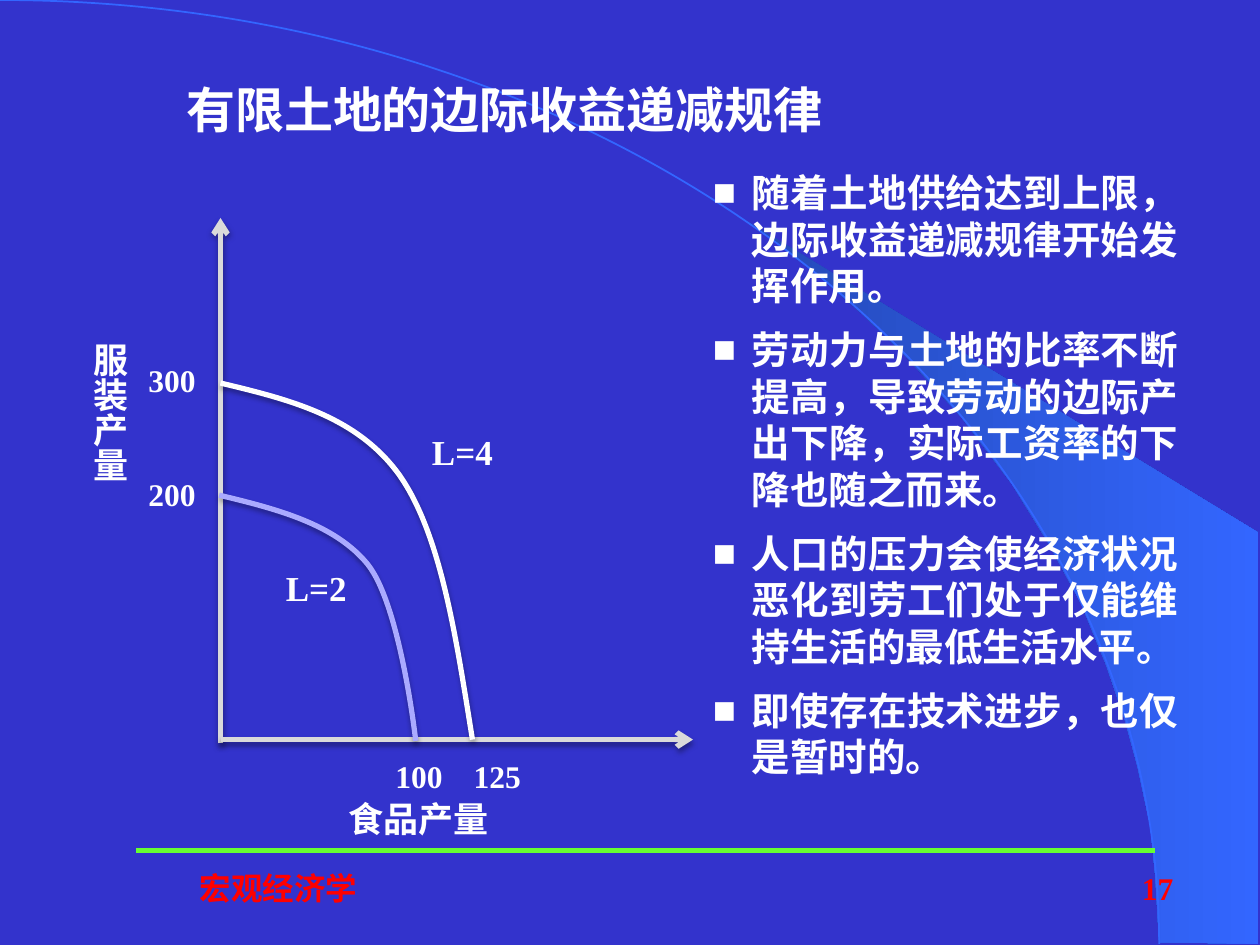
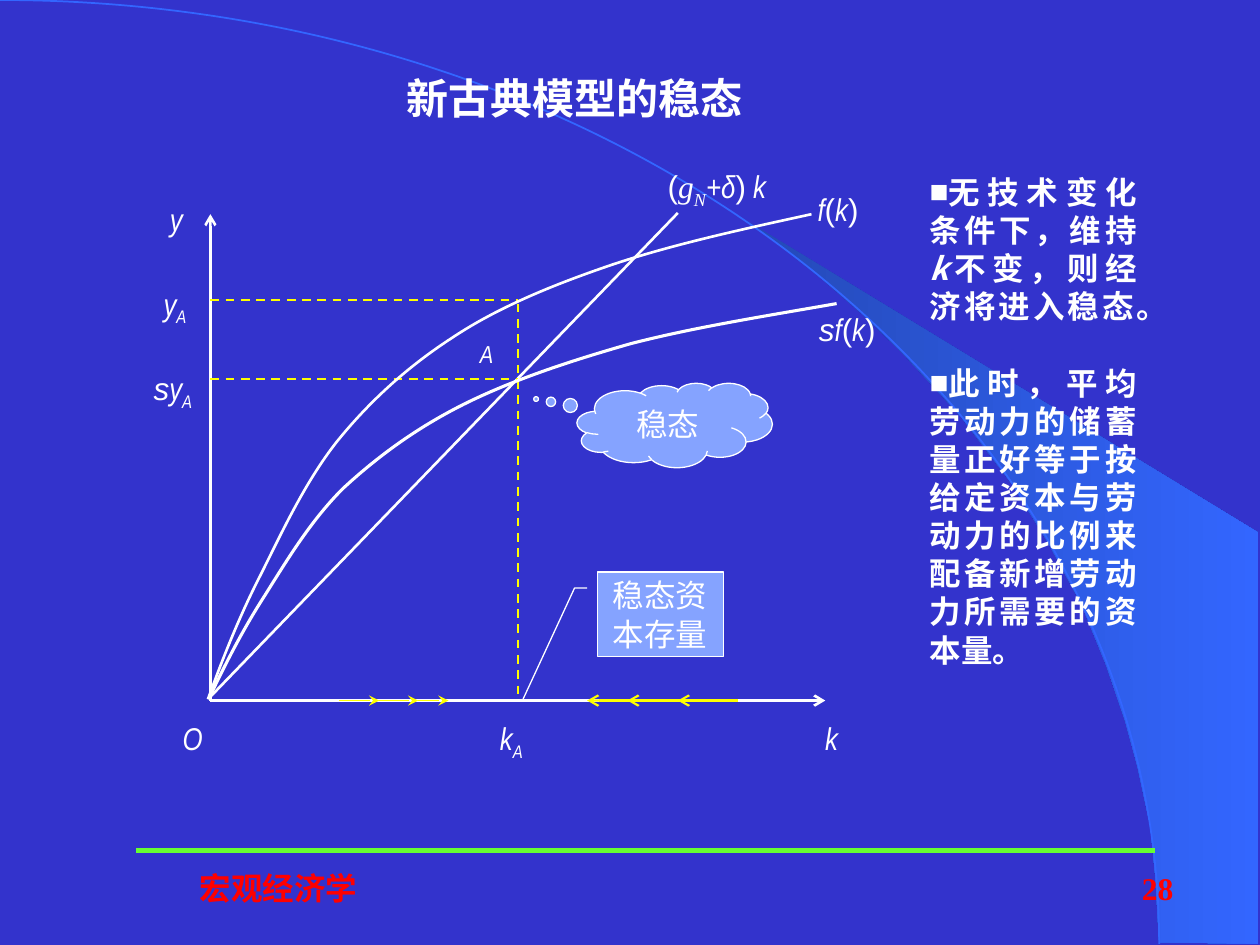
from lxml import etree
from pptx import Presentation, util as u
from pptx.dml.color import RGBColor
from pptx.enum import dml, shapes, text
from pptx.oxml.ns import qn

COLORS = {"ground": "3333CC", "arc": "3366FF", "deep": "2449B6", "rule": "66FF33",
          "footer": "FF0000", "white": "FFFFFF", "axis": "DADADA", "inner": "AAAAFF",
          "guide": "FFFF00", "callout": "85A3FF"}
HAN, TIMES, ARIAL, NARROW = "Noto Sans CJK SC", "Times New Roman", "Arial", "Arial Narrow"
HAN_PITCH = 1.21  # line pitch of Chinese text, as a share of its size
GRID = 2.54       # one layout unit in centimetres

# Shared frame
COURSE = "宏观经济学"
BEAM = [(9.2, 7.48), (9.99, 7.49), (9.99, 4.23), (5.89, 1.73), (6.24, 1.99), (6.53, 2.22),
        (6.85, 2.5), (7.16, 2.8), (7.62, 3.3), (8.03, 3.84), (8.32, 4.31), (8.58, 4.79),
        (8.78, 5.28), (8.93, 5.72), (9.03, 6.09), (9.13, 6.56), (9.17, 6.96)]
ARC = [(0, 0), (5.08, 0), (9.2, 3.35), (9.2, 7.49)]

# Run styles
STYLES = {
    "han": {"name": HAN, "bold": True},
    "han_italic": {"name": HAN, "bold": True, "italic": True},
    "plain": {"name": TIMES},
    "bold": {"name": TIMES, "bold": True},
    "var": {"name": NARROW, "italic": True},
    "sub": {"name": NARROW, "italic": True},
    "arial": {"name": ARIAL},
    "slant": {"name": ARIAL, "italic": True},
    "times": {"name": TIMES, "italic": True},
    "times_sub": {"name": TIMES, "italic": True},
}

# Slide 17: diminishing returns; curves are a start point and cubic triples
LAND = {
    "page": "17",
    "title": ("有限土地的边际收益递减规律", (1.38, 0.58, 5.42, 0.57), 28),
    "axes": [((1.75, 5.9), (1.75, 1.73)), ((1.75, 5.87), (5.5, 5.87))],
    "frontiers": [
        ("inner", [(1.74, 3.93), (2.2, 4.04), (2.66, 4.16), (2.92, 4.48),
                   (3.18, 4.81), (3.3, 5.88), (3.3, 5.88)]),
        ("white", [(1.75, 3.04), (2.29, 3.17), (2.83, 3.3), (3.17, 3.77),
                   (3.5, 4.24), (3.62, 5.06), (3.75, 5.87)]),
    ],
    "ticks": [("300", 1.08, 2.82), ("200", 1.08, 3.72), ("100", 3.04, 5.96), ("125", 3.66, 5.96)],
    "labels": [("L=4", 3.33, 3.37), ("L=2", 2.17, 4.45)],
    "x_name": ("食品产量", (2.67, 6.28, 2.25, 0.44)),
    "y_name": ("服装产量", (0.55, 2.62, 0.54, 2.83)),
    "points": [
        "随着土地供给达到上限，边际收益递减规律开始发挥作用。",
        "劳动力与土地的比率不断提高，导致劳动的边际产出下降，实际工资率的下降也随之而来。",
        "人口的压力会使经济状况恶化到劳工们处于仅能维持生活的最低生活水平。",
        "即使存在技术进步，也仅是暂时的。",
    ],
}

# Slide 28: steady state
ORIGIN = (1.67, 5.56)
K_A, Y_A, SY_A = 4.11, 2.38, 3.01
STEADY = {
    "page": "28",
    "title": ("新古典模型的稳态", (3.13, 0.52, 2.91, 0.5), 24),
    "axes": [(ORIGIN, (6.55, ORIGIN[1])), (ORIGIN, (ORIGIN[0], 1.7))],
    "break_even": ((1.66, 5.54), (5.38, 1.69)),
    "guides": [((ORIGIN[0], SY_A), (K_A, SY_A)), ((ORIGIN[0], Y_A), (K_A, Y_A)),
               ((K_A, 2.41), (K_A, ORIGIN[1]))],
    "rising": [(2.69, 3.01), (3.01, 3.32), (3.32, 3.56)],
    "falling": [(5.52, 4.66), (5.29, 4.98), (5.86, 5.38)],
    "curves": [
        (1.75, [(1.66, 5.54), (1.79, 5.27), (1.92, 5.01), (2.1, 4.73), (2.27, 4.46),
                (2.46, 4.14), (2.72, 3.88), (2.99, 3.63), (3.3, 3.4), (3.68, 3.21),
                (4.06, 3.02), (4.51, 2.87), (5, 2.73), (5.5, 2.6), (6.07, 2.51), (6.64, 2.41)]),
        (1.5, [(1.65, 5.55), (1.77, 5.22), (1.9, 4.89), (2.07, 4.56), (2.24, 4.22),
               (2.42, 3.83), (2.67, 3.51), (2.92, 3.2), (3.22, 2.92), (3.59, 2.68),
               (3.95, 2.44), (4.39, 2.26), (4.86, 2.1), (5.34, 1.94), (5.89, 1.82), (6.44, 1.7)]),
    ],
    # left, top, width, size, runs
    "labels": [
        (1.35, 5.66, 0.55, 18, [("O", "var")]),
        (3.71, 2.64, 0.47, 14, [("A", "var")]),
        (3.87, 5.66, 0.6, 18, [("k", "var"), ("A", "sub")]),
        (6.45, 5.66, 0.4, 18, [("k", "var")]),
        (1.25, 1.54, 0.63, 18, [("y", "var")]),
        (5.2, 1.28, 1.28, 18, [("(", "arial"), ("g", "times"), ("N", "times_sub"),
                               ("+δ", "var"), (")", "arial"), (" k", "var")]),
        (1.2, 2.21, 0.47, 18, [("y", "var"), ("A", "sub")]),
        (1.12, 2.88, 0.71, 18, [("s", "slant"), ("y", "var"), ("A", "sub")]),
        (6.39, 1.46, 0.94, 18, [("f", "var"), ("(", "arial"), ("k", "var"), (")", "arial")]),
        (6.4, 2.41, 0.71, 18, [("s", "slant"), ("f", "var"), ("(", "arial"),
                               ("k", "var"), (")", "arial")]),
    ],
    "callouts": [
        ("稳态", shapes.MSO_SHAPE.CLOUD_CALLOUT, (4.58, 3.04, 1.55, 0.67), (-0.71, -0.31)),
        ("稳态资本存量", shapes.MSO_SHAPE.LINE_CALLOUT_2, (4.74, 4.54, 1, 0.67),
         (0.19, -0.08, 0.19, -0.18, 1.51, -0.59)),
    ],
    "points": [
        [("无技术变化条件下，维持", "han"), ("k", "han_italic"), ("不变，则经济将进入稳态。", "han")],
        [("此时，平均劳动力的储蓄量正好等于按给定资本与劳动力的比例来配备新增劳动力所需要的资本量。", "han")],
    ],
}


# Helpers
def cm(value):
    return u.Cm(value * GRID)


def rgb(name):
    return RGBColor.from_string(COLORS[name])


def set_format(target, values):
    for key, value in values.items():
        setattr(target, key, value)


def sub(parent, tag, **attributes):
    return etree.SubElement(parent, qn(tag), {k: str(v) for k, v in attributes.items()})


def add_effect(shape, shadow=False):
    effects = sub(shape._element.spPr, "a:effectLst")
    if shadow:
        outer = sub(effects, "a:outerShdw", blurRad=u.Pt(3.1), dist=u.Pt(1.8),
                    dir=90 * 60000, rotWithShape=0)
        sub(sub(outer, "a:srgbClr", val="000000"), "a:alpha", val=35000)


def stroke(shape, color, width):
    shape.line.fill.solid()
    shape.line.fill.fore_color.rgb = rgb(color)
    shape.line.width = u.Pt(width)


def add_line(slide, start, end, color, width, arrow=None, dashed=False, shadow=False):
    line = slide.shapes.add_connector(shapes.MSO_CONNECTOR.STRAIGHT,
                                      *map(cm, (*start, *end)))
    stroke(line, color, width)
    if dashed:
        line.line.dash_style = dml.MSO_LINE.DASH
    if arrow:
        sub(line._element.spPr.find(qn("a:ln")), "a:tailEnd", type=arrow)
    add_effect(line, shadow)


def add_outline(slide, points, close=False):
    first, *rest = [(cm(x), cm(y)) for x, y in points]
    builder = slide.shapes.build_freeform(*first)
    builder.add_line_segments(rest, close=close)
    return builder.convert_to_shape()


def add_curve(slide, points, color, width, shadow=False):
    curve = add_outline(slide, points)
    outline = curve._element.spPr.find(".//" + qn("a:path"))
    segments = outline.findall(qn("a:lnTo"))
    for i in range(0, len(segments), 3):  # three points make one cubic
        cubic = sub(outline, "a:cubicBezTo")
        for segment in segments[i:i + 3]:
            cubic.append(segment[0])
            outline.remove(segment)
    curve.fill.background()
    stroke(curve, color, width)
    add_effect(curve, shadow)


def write(frame, paragraphs, size, color="white", align=None, bullet=None, gap=0, pitch=None,
          anchor=text.MSO_ANCHOR.TOP):
    """Each paragraph is a list of (words, style); bullet is its hanging indent."""
    set_format(frame, {"word_wrap": True, "vertical_anchor": anchor})
    for i, runs in enumerate(paragraphs):
        para = frame.paragraphs[0] if i == 0 else frame.add_paragraph()
        para.alignment = align
        if pitch:
            para.line_spacing = u.Pt(round(size * pitch, 1))
        if i and gap:
            para.space_before = u.Pt(gap)
        if bullet is not None:
            props = para._p.get_or_add_pPr()
            props.set("marL", str(cm(bullet)))
            props.set("indent", str(-cm(bullet)))
            sub(props, "a:buFont", typeface=ARIAL)
            sub(props, "a:buChar", char="■")
        for words, style in runs:
            run = para.add_run()
            run.text = words
            set_format(run.font, {"size": u.Pt(size), **STYLES[style]})
            run.font.color.rgb = rgb(color)
            props = run._r.get_or_add_rPr()
            sub(props, "a:ea", typeface=HAN)
            if style.endswith("sub"):
                props.set("baseline", "-25000")


def add_text(slide, box, paragraphs, size, **options):
    frame = slide.shapes.add_textbox(*map(cm, box)).text_frame
    write(frame, paragraphs, size, **options)
    return frame


def add_han(slide, words, box, size):
    return add_text(slide, box, [[(words, "han")]], size, pitch=HAN_PITCH)


# Background, footer and title of every slide
def start_slide(deck, content):
    slide = deck.slides.add_slide(deck.slide_layouts[6])
    slide.background.fill.solid()
    slide.background.fill.fore_color.rgb = rgb("ground")
    beam = add_outline(slide, BEAM, close=True)
    beam.fill.gradient()
    beam.fill.gradient_angle = 0
    for stop, position, color in zip(beam.fill.gradient_stops, (0, 1), ("deep", "arc")):
        stop.position = position
        stop.color.rgb = rgb(color)
    beam.line.fill.background()
    add_effect(beam)
    add_curve(slide, ARC, "arc", 1)
    add_line(slide, (1.08, 6.75), (9.17, 6.75), "rule", 3)
    for words, left, width, align in ((COURSE, 0.42, 3.58, text.PP_ALIGN.CENTER),
                                      (content["page"], 7.33, 2.08, text.PP_ALIGN.RIGHT)):
        add_text(slide, (left, 6.8, width, 0.5), [[(words, "bold")]], 18, color="footer",
                 align=align, anchor=text.MSO_ANCHOR.MIDDLE)
    add_han(slide, *content["title"])
    return slide


def build_land(deck):
    slide = start_slide(deck, LAND)
    for start, end in LAND["axes"]:
        add_line(slide, start, end, "axis", 3, arrow="arrow", shadow=True)
    for color, points in LAND["frontiers"]:
        add_curve(slide, points, color, 3, shadow=True)
    for key, size, height in (("ticks", 18, 0.4), ("labels", 20, 0.44)):
        for words, left, top in LAND[key]:
            add_text(slide, (left, top, 0.75, height), [[(words, "bold")]], size)
    add_han(slide, *LAND["x_name"], 20)
    y_name = add_han(slide, *LAND["y_name"], 20)
    y_name._txBody.bodyPr.set("vert", "eaVert")
    add_text(slide, (5.56, 1.29, 3.89, 5.47), [[(point, "han")] for point in LAND["points"]], 22,
             align=text.PP_ALIGN.JUSTIFY, bullet=0.31, gap=10, pitch=HAN_PITCH)


def build_steady(deck):
    slide = start_slide(deck, STEADY)
    for start, end in STEADY["axes"]:
        add_line(slide, start, end, "white", 1.5, arrow="arrow")
    add_line(slide, *STEADY["break_even"], "white", 1.5)
    for start, end in STEADY["guides"]:
        add_line(slide, start, end, "guide", 1.25, dashed=True)
    # Capital moves towards the steady state from both sides
    for key, width, arrow in (("rising", 0.75, "stealth"), ("falling", 1.25, "arrow")):
        for start, end in STEADY[key]:
            add_line(slide, (start, ORIGIN[1]), (end, ORIGIN[1]), "guide", width, arrow=arrow)
    for left, top, width, size, runs in STEADY["labels"]:
        add_text(slide, (left, top, width, 0.4), [runs], size)
    for words, preset, box, adjustments in STEADY["callouts"]:
        callout = slide.shapes.add_shape(preset, *map(cm, box))
        for i, value in enumerate(adjustments):
            callout.adjustments[i] = value
        callout.fill.solid()
        callout.fill.fore_color.rgb = rgb("callout")
        stroke(callout, "white", 0.75)
        add_effect(callout)
        write(callout.text_frame, [[(words, "plain")]], 18, align=text.PP_ALIGN.CENTER,
              pitch=HAN_PITCH, anchor=text.MSO_ANCHOR.MIDDLE)
    add_text(slide, (7.28, 1.32, 1.84, 4.34), STEADY["points"], 18,
             align=text.PP_ALIGN.JUSTIFY, bullet=0, gap=18 * HAN_PITCH, pitch=HAN_PITCH)
    for width, points in STEADY["curves"]:
        add_curve(slide, points, "white", width)


def main():
    deck = Presentation()
    set_format(deck, {"slide_width": u.Cm(25.4), "slide_height": u.Cm(19.05)})
    build_land(deck)
    build_steady(deck)
    deck.save("out.pptx")


if __name__ == "__main__":
    main()
